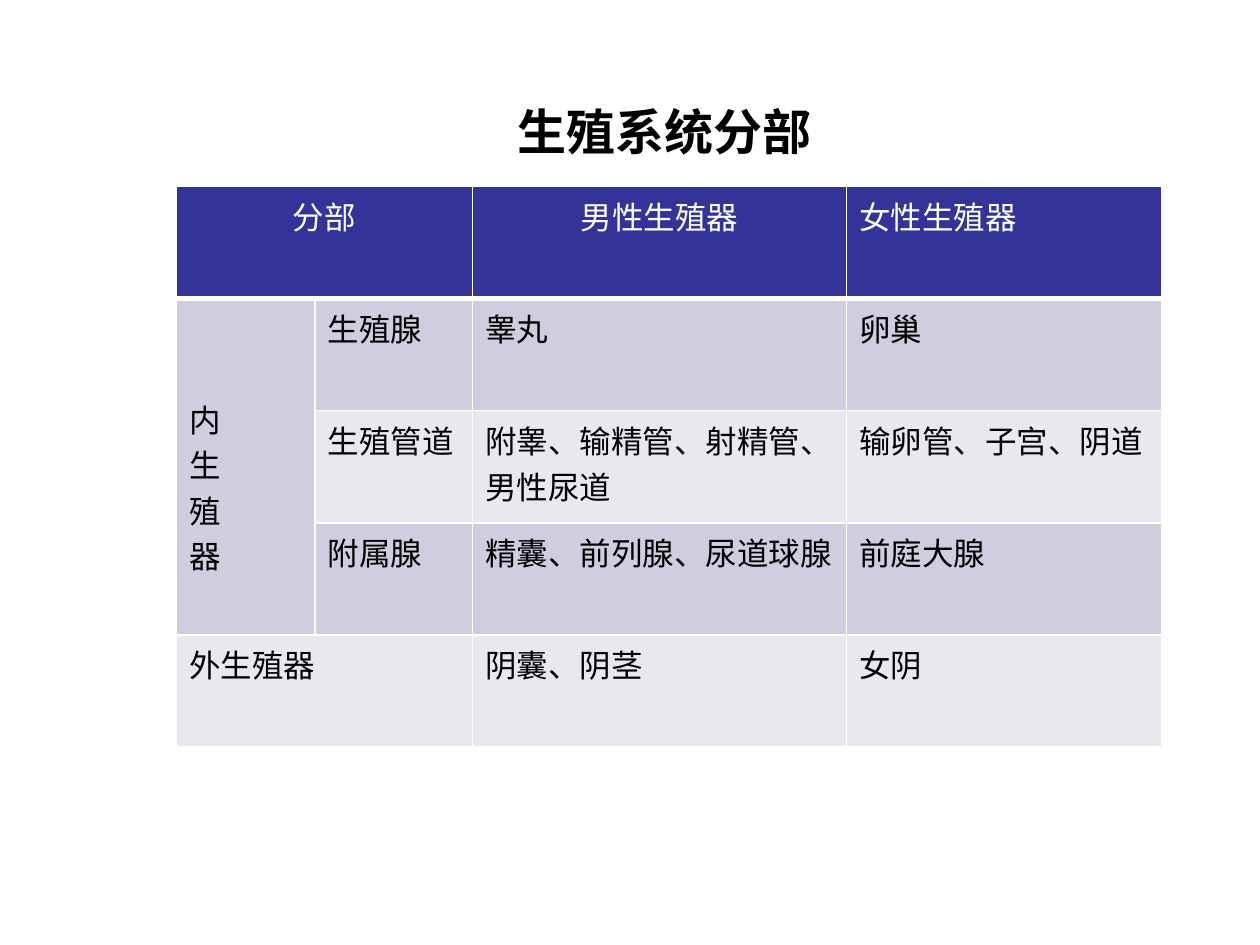
from lxml import etree
from pptx import Presentation
from pptx.dml.color import RGBColor
from pptx.enum.text import MSO_ANCHOR, PP_ALIGN
from pptx.oxml.ns import qn
from pptx.util import Inches, Pt

CENTER = PP_ALIGN.CENTER
MIDDLE = MSO_ANCHOR.MIDDLE

TITLE = "生殖系统分部"
ROWS = [
    ["分部", "", "男性生殖器", "女性生殖器"],
    ["内\n生\n殖\n器", "生殖腺", "睾丸", "卵巢"],
    ["", "生殖管道", "附睾、输精管、射精管、男性尿道", "输卵管、子宫、阴道"],
    ["", "附属腺", "精囊、前列腺、尿道球腺", "前庭大腺"],
    ["外生殖器", "", "阴囊、阴茎", "女阴"],
]
MERGES = [((0, 0), (0, 1)), ((1, 0), (3, 0)), ((4, 0), (4, 1))]
CENTERED = [(0, 0), (0, 2)]
INTERNAL = (1, 0)
COLUMNS = [1.1, 1.25, 2.97, 2.5]
ROW_HEIGHT = 0.89
LEFT, TOP = 1.4, 1.48

THEME = {
    "header": "333399", "odd": "CECEDE", "even": "E8E8EF",
    "light": "FFFFFF", "dark": "000000",
    "title_font": "Noto Sans CJK SC", "body_font": "Arial",
    "title_size": 28, "body_size": 18, "line": 1, "header_line": 3,
}


def add_run(p, text, font, size, color, bold=False):
    r = p.add_run()
    r.text = text
    r.font.name = font
    r.font.size = Pt(size)
    r.font.bold = bold
    r.font.color.rgb = RGBColor.from_string(color)
    return r


def set_borders(cell, bottom, top):
    tcPr = cell._tc.get_or_add_tcPr()
    widths = {"L": THEME["line"], "R": THEME["line"], "T": top, "B": bottom}
    for side, width in widths.items():
        ln = etree.SubElement(tcPr, qn(f"a:ln{side}"), w=str(Pt(width)))
        fill = etree.SubElement(ln, qn("a:solidFill"))
        etree.SubElement(fill, qn("a:srgbClr"), val=THEME["light"])


def style_cell(cell, row, col, text):
    header = row == 0
    set_borders(cell,
                THEME["header_line"] if header else THEME["line"],
                THEME["header_line"] if row == 1 else THEME["line"])
    fill = "header" if header else "odd" if row % 2 or col == 0 and row < 4 else "even"
    cell.fill.solid()
    cell.fill.fore_color.rgb = RGBColor.from_string(THEME[fill])
    if not text:
        return
    tf = cell.text_frame
    for i, line in enumerate(text.split("\n")):
        p = tf.paragraphs[0] if i == 0 else tf.add_paragraph()
        if (row, col) in CENTERED:
            p.alignment = CENTER
        add_run(p, line, THEME["body_font"], THEME["body_size"],
                THEME["light" if header else "dark"])


prs = Presentation()
prs.slide_width, prs.slide_height = Inches(10), Inches(7.5)
s = prs.slides.add_slide(prs.slide_layouts[5])

title = s.shapes.title
title.left, title.top = Inches(LEFT), Inches(0.75)
title.width, title.height = Inches(7.75), Inches(0.58)
tf = title.text_frame
tf.vertical_anchor = MIDDLE
tf.paragraphs[0].alignment = CENTER
r = add_run(tf.paragraphs[0], TITLE, THEME["title_font"], THEME["title_size"],
            THEME["dark"], True)
etree.SubElement(r.font._element, qn("a:ea"), typeface=THEME["title_font"])

table = s.shapes.add_table(
    len(ROWS), len(COLUMNS), Inches(LEFT), Inches(TOP),
    Inches(sum(COLUMNS)), Inches(ROW_HEIGHT * len(ROWS))).table
for column, width in zip(table.columns, COLUMNS):
    column.width = Inches(width)
for row in table.rows:
    row.height = Inches(ROW_HEIGHT)
for first, last in MERGES:
    table.cell(*first).merge(table.cell(*last))
for row, texts in enumerate(ROWS):
    for col, text in enumerate(texts):
        style_cell(table.cell(row, col), row, col, text)
table.cell(*INTERNAL).margin_top = Inches(0.77)

prs.save("out.pptx")
